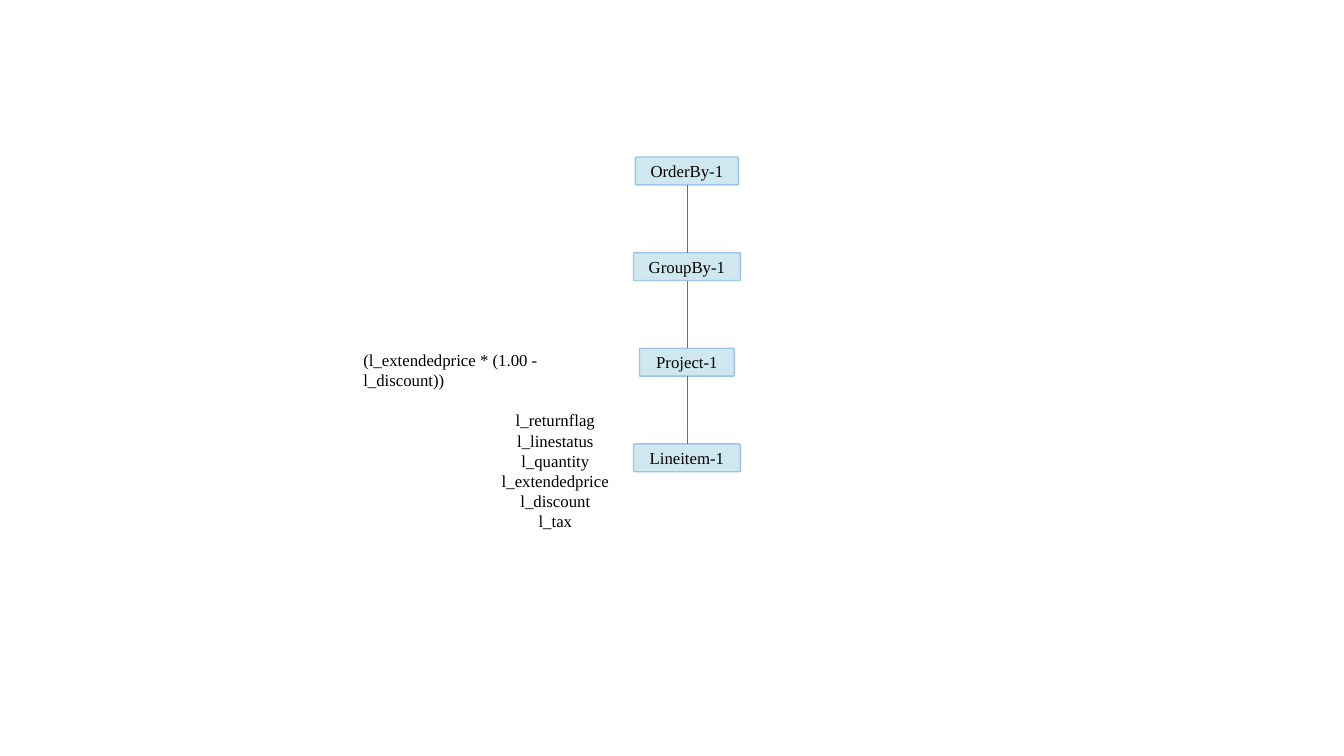
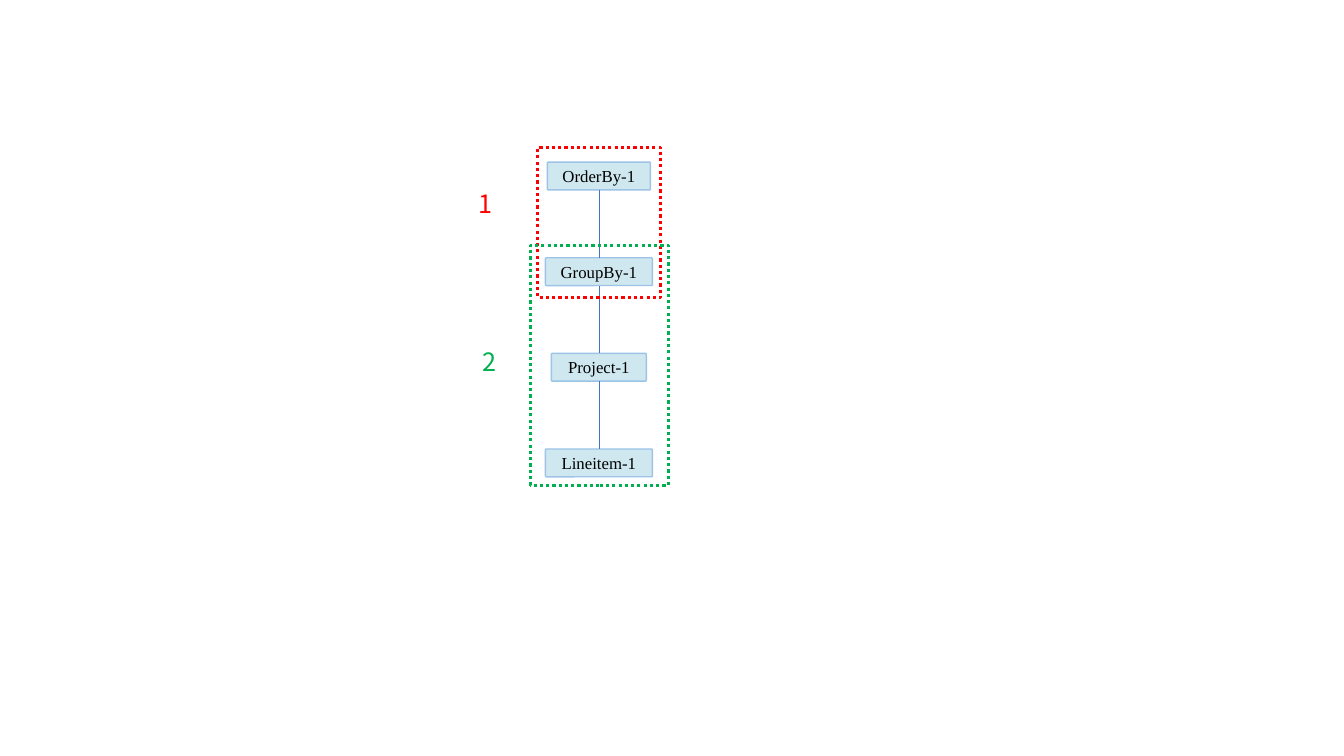
from dataclasses import dataclass

from lxml.etree import SubElement
from pptx import Presentation
from pptx.dml.color import RGBColor as Rgb
from pptx.enum.dml import MSO_LINE as Dash
from pptx.enum.shapes import MSO_CONNECTOR as Link, MSO_SHAPE as Kind
from pptx.enum.text import MSO_ANCHOR as Anchor, MSO_AUTO_SIZE as Fit, PP_ALIGN as Align
from pptx.oxml.ns import qn
from pptx.shapes.autoshape import Shape
from pptx.slide import Slide
from pptx.text.text import TextFrame
from pptx.util import Pt

INK = {
    "text": "000000",
    "fill": "CFE8EF",
    "edge": "9DC3E6",
    "link": "4472C4",
    "red": "FF0000",
    "green": "00B050",
}
SERIF = "Times New Roman"
SANS = "Noto Sans CJK SC"
PITCH = 68.3
TALL = 19.9


@dataclass(frozen=True)
class Node:
    name: str
    width: float


@dataclass(frozen=True)
class Area:
    left: float
    top: float
    width: float
    height: float

    def spans(self) -> tuple:
        return Pt(self.left), Pt(self.top), Pt(self.width), Pt(self.height)


@dataclass(frozen=True)
class Group:
    tag: str
    color: str
    frame: Area
    label: Area


NODES = [
    Node("OrderBy-1", 73.6),
    Node("GroupBy-1", 76.4),
    Node("Project-1", 67.8),
    Node("Lineitem-1", 76.4),
]
FIELDS = ["l_returnflag", "l_linestatus", "l_quantity",
          "l_extendedprice", "l_discount", "l_tax"]
GROUPS = [
    Group("1", "red", Area(384, 105.5, 88, 107), Area(335, 131, 34, 29)),
    Group("2", "green", Area(378.8, 175.4, 98.8, 171.2), Area(337.8, 244, 34, 29)),
]


def tint(code: str) -> Rgb:
    return Rgb.from_string(INK[code])


def write(frame: TextFrame, text: str, *, size: float = 12, font: str = SERIF,
          color: str = "text", align: Align = Align.LEFT,
          anchor: Anchor = Anchor.TOP) -> None:
    frame.word_wrap = True
    frame.vertical_anchor = anchor
    frame.text = text
    for para in frame.paragraphs:
        para.alignment = align
        for run in para.runs:
            run.font.size = Pt(size)
            run.font.name = font
            run.font.color.rgb = tint(color)


def note(slide: Slide, area: Area, text: str, **form) -> None:
    frame = slide.shapes.add_textbox(*area.spans()).text_frame
    write(frame, text, **form)
    frame.auto_size = Fit.SHAPE_TO_FIT_TEXT


def block(slide: Slide, node: Node, mid: float, top: float) -> Shape:
    area = Area(mid - node.width / 2, top, node.width, TALL)
    box = slide.shapes.add_shape(Kind.ROUNDED_RECTANGLE, *area.spans())
    box.adjustments[0] = 0.036
    box.shadow.inherit = False
    box.fill.solid()
    box.fill.fore_color.rgb = tint("fill")
    box.line.color.rgb = tint("edge")
    box.line.width = Pt(1)
    write(box.text_frame, node.name, align=Align.CENTER, anchor=Anchor.MIDDLE)
    return box


def join(slide: Slide, upper: Shape, lower: Shape) -> None:
    link = slide.shapes.add_connector(Link.STRAIGHT, 0, 0, 0, 0)
    link.begin_connect(upper, 2)
    link.end_connect(lower, 0)
    link.line.color.rgb = tint("link")
    link.line.width = Pt(0.5)
    SubElement(link._element.spPr, qn("a:effectLst"))


def chain(slide: Slide, mid: float, top: float) -> None:
    boxes = [block(slide, node, mid, top + row * PITCH)
             for row, node in enumerate(NODES)]
    for upper, lower in zip(boxes, boxes[1:]):
        join(slide, upper, lower)


def mark(slide: Slide, group: Group) -> None:
    box = slide.shapes.add_shape(Kind.RECTANGLE, *group.frame.spans())
    box.shadow.inherit = False
    box.fill.background()
    box.line.color.rgb = tint(group.color)
    box.line.width = Pt(2.25)
    box.line.dash_style = Dash.ROUND_DOT
    note(slide, group.label, group.tag, size=18, font=SANS, color=group.color)


def main() -> None:
    deck = Presentation()
    deck.slide_width, deck.slide_height = Pt(960), Pt(540)
    blank = deck.slide_layouts[6]

    plan = deck.slides.add_slide(blank)
    chain(plan, 490.7, 112.2)
    note(plan, Area(347, 289.4, 99.4, 94.3), "\n".join(FIELDS), align=Align.CENTER)
    note(plan, Area(252.4, 246, 198, 22), "(l_extendedprice * (1.00 - l_discount))")

    split = deck.slides.add_slide(blank)
    chain(split, 427.8, 115.8)
    for group in GROUPS:
        mark(split, group)

    deck.save("out.pptx")


if __name__ == "__main__":
    main()
